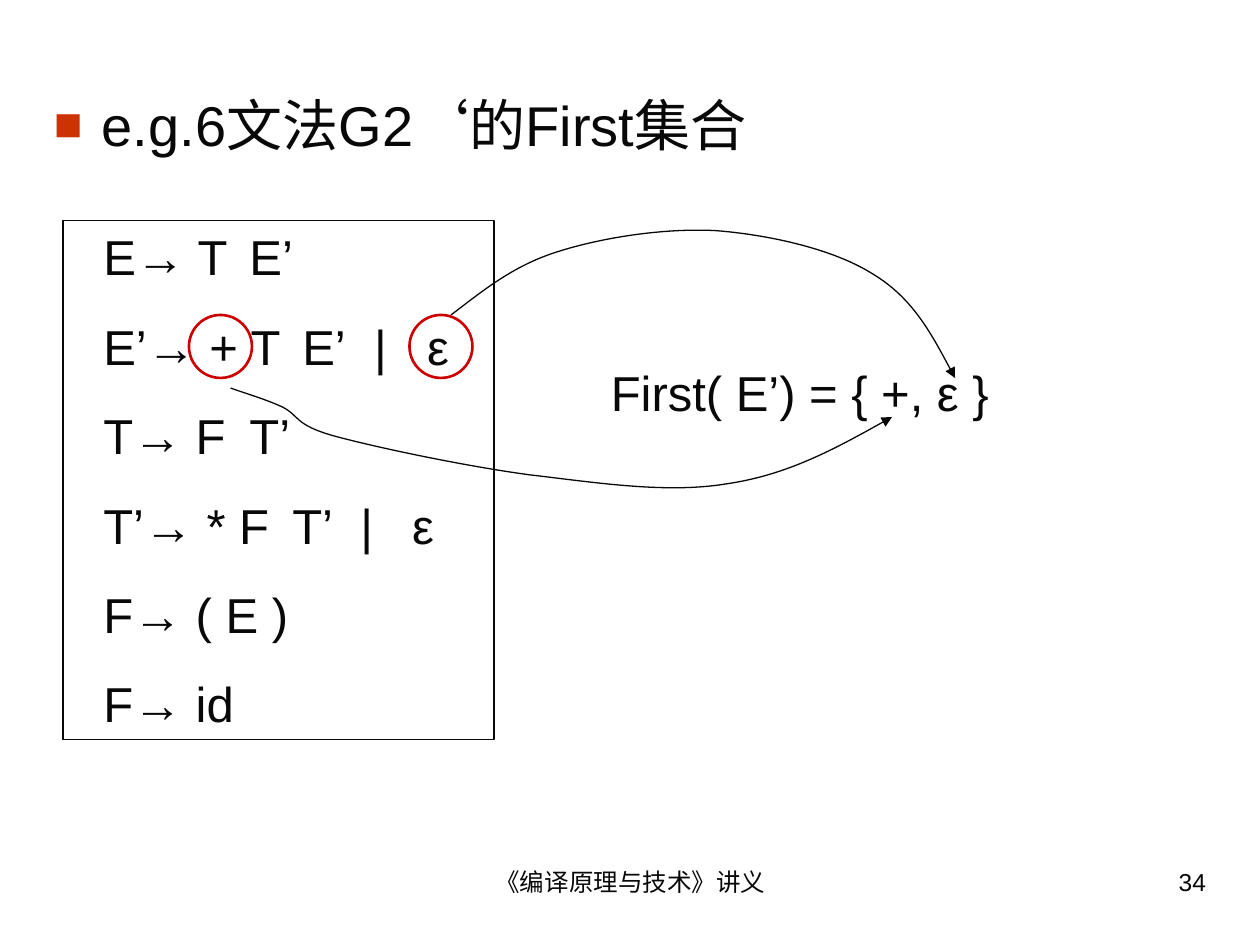
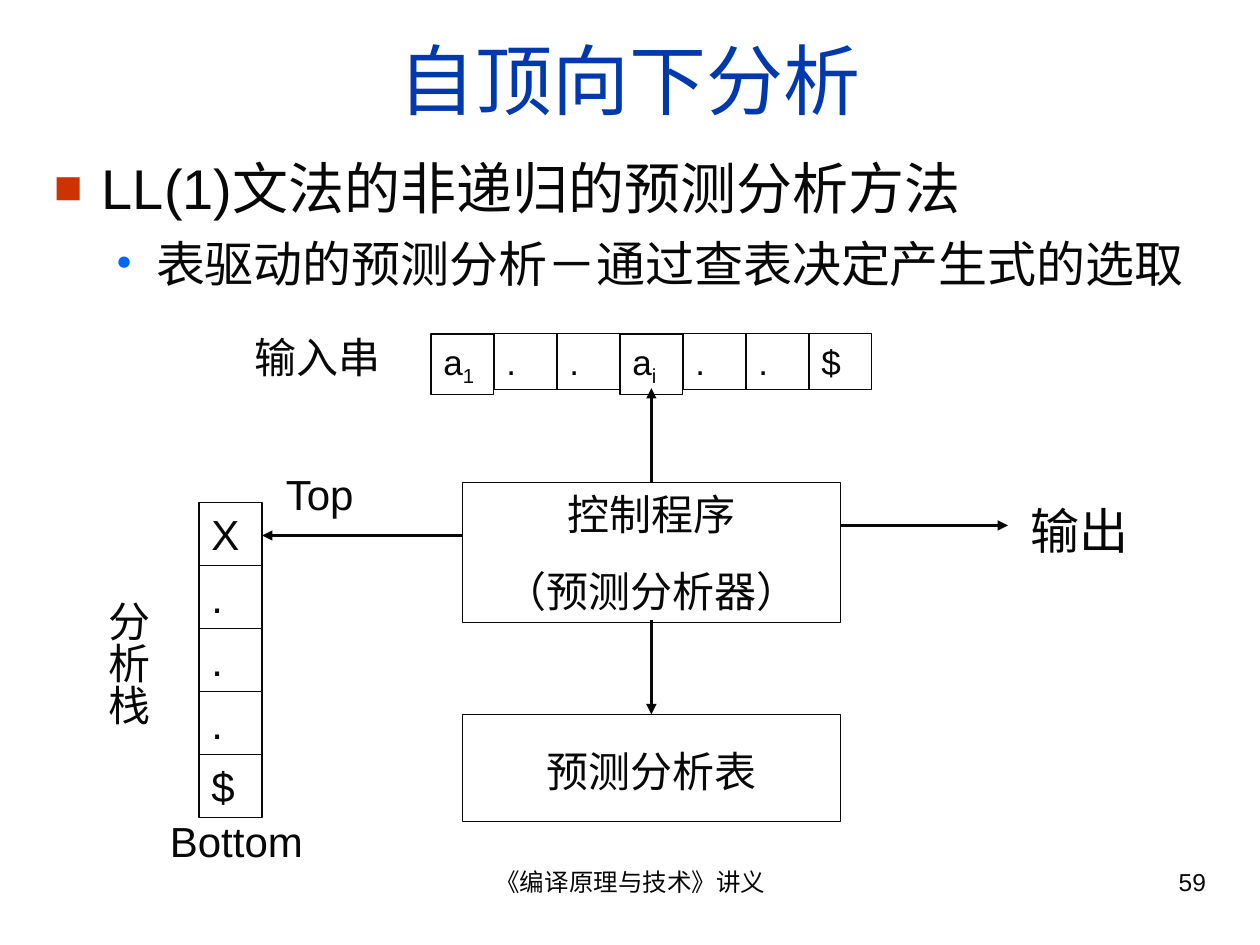
from dataclasses import dataclass

from lxml import etree
from pptx import Presentation
from pptx.dml.color import RGBColor
from pptx.enum.shapes import MSO_CONNECTOR, MSO_SHAPE
from pptx.enum.text import MSO_ANCHOR, PP_ALIGN
from pptx.oxml.ns import qn
from pptx.util import Inches, Pt

LEFT, CENTER, RIGHT = PP_ALIGN.LEFT, PP_ALIGN.CENTER, PP_ALIGN.RIGHT
TOP, MIDDLE = MSO_ANCHOR.TOP, MSO_ANCHOR.MIDDLE
RECTANGLE, OVAL = MSO_SHAPE.RECTANGLE, MSO_SHAPE.OVAL
STRAIGHT = MSO_CONNECTOR.STRAIGHT


@dataclass(frozen=True)
class Theme:
    font: str = "Arial"
    ink: str = "080808"
    title: str = "0039AC"
    square: str = "CC3300"
    dot: str = "0066FF"
    mark: str = "CC0000"
    title_size: int = 44
    heading_size: int = 32
    large_size: int = 28
    label_size: int = 24
    cell_size: int = 20
    footer_size: int = 14
    thin: float = 0.75
    thick: float = 1.5


THEME = Theme()
FOOTER = "《编译原理与技术》讲义"

# Bullet levels: character, colour, text size, left margin, hanging indent
BULLETS = [
    ("■", THEME.square, THEME.heading_size, 0.38, 0.38),
    ("•", THEME.dot, THEME.large_size, 0.81, 0.31),
]

# Each production with the tab stops of its symbols
PRODUCTIONS = [
    ("E→ T\tE’", [1.16]),
    ("E’→ + T\tE’\t|\tε", [1.58, 2.15, 2.57]),
    ("T→ F\tT’", [1.16]),
    ("T’→ * F\tT’\t|\tε", [1.5, 2.04, 2.45]),
    ("F→ ( E )", []),
    ("F→ id", []),
]

# Start point, then two control points and an end point per curve
PLUS_PATH = [
    (1.83, 3.08),
    (1.97, 3.13), (2.11, 3.17), (2.24, 3.23),
    (2.38, 3.3), (2.33, 3.37), (2.65, 3.46),
    (2.98, 3.55), (3.69, 3.7), (4.21, 3.77),
    (4.73, 3.83), (5.29, 3.92), (5.77, 3.84),
    (6.25, 3.77), (6.67, 3.54), (7.08, 3.31),
]
EPSILON_PATH = [
    (3.58, 2.5),
    (3.83, 2.31), (4.07, 2.11), (4.42, 2),
    (4.76, 1.89), (5.25, 1.81), (5.67, 1.83),
    (6.08, 1.86), (6.6, 1.97), (6.92, 2.17),
    (7.24, 2.36), (7.41, 2.68), (7.58, 3),
]


def add_child(parent, tag, **attributes):
    return etree.SubElement(parent, qn(tag), attributes)


def add_bullet(para, character, color, margin, hanging):
    properties = para._p.get_or_add_pPr()
    properties.set("marL", str(Inches(margin)))
    properties.set("indent", str(-Inches(hanging)))
    add_child(add_child(properties, "a:buClr"), "a:srgbClr", val=color)
    add_child(properties, "a:buSzPct", val="85000")
    add_child(properties, "a:buFont", typeface=THEME.font)
    add_child(properties, "a:buChar", char=character)


def add_tabs(para, stops):
    tabs = add_child(para._p.get_or_add_pPr(), "a:tabLst")
    for stop in stops:
        add_child(tabs, "a:tab", pos=str(Inches(stop)), algn="l")


def add_span(para, text, size, color=THEME.ink, baseline=None):
    span = para.add_run()
    span.text = text
    span.font.name = THEME.font
    span.font.size = Pt(size)
    span.font.color.rgb = RGBColor.from_string(color)
    if baseline:
        span.font._element.set("baseline", str(baseline))


def set_frame(frame, anchor=TOP, insets=(0.1, 0.05, 0.1, 0.05)):
    frame.word_wrap = True
    frame.vertical_anchor = anchor
    (frame.margin_left, frame.margin_top,
     frame.margin_right, frame.margin_bottom) = map(Inches, insets)


def write(frame, text, size=THEME.label_size, color=THEME.ink, align=LEFT,
          gap=0, stops=(), subscript=""):
    """Fill the first paragraph, or add one if the frame already has text."""
    is_first = not frame.text
    para = frame.paragraphs[0] if is_first else frame.add_paragraph()
    if stops:
        add_tabs(para, stops)
    para.alignment = align
    if not is_first:
        para.space_before = Pt(gap)
    add_span(para, text, size, color)
    if subscript:
        add_span(para, subscript, size, color, baseline=-25000)


def add_label(page, text, left, top, width, height, anchor=TOP, **style):
    box = page.shapes.add_textbox(*map(Inches, (left, top, width, height)))
    set_frame(box.text_frame, anchor)
    write(box.text_frame, text, **style)
    return box


def style_outline(shape, color, width):
    shape.shadow.inherit = False
    shape.fill.background()
    shape.line.color.rgb = RGBColor.from_string(color)
    shape.line.width = Pt(width)


def add_outline(shapes, left, top, width, height, kind=RECTANGLE,
                color=THEME.ink, weight=THEME.thin, **frame_style):
    shape = shapes.add_shape(kind, *map(Inches, (left, top, width, height)))
    style_outline(shape, color, weight)
    set_frame(shape.text_frame, **frame_style)
    return shape


def add_arrowhead(line):
    add_child(line.line._get_or_add_ln(), "a:tailEnd", type="triangle")


def add_arrow(page, start, end):
    arrow = page.shapes.add_connector(STRAIGHT, *map(Inches, start + end))
    arrow.line.color.rgb = RGBColor.from_string(THEME.ink)
    arrow.line.width = Pt(THEME.thick)
    add_arrowhead(arrow)
    add_child(arrow._element.spPr, "a:effectLst")


def add_curved_arrow(page, points):
    start, *rest = [(Inches(x), Inches(y)) for x, y in points]
    builder = page.shapes.build_freeform(*start)
    builder.add_line_segments(rest, close=False)
    curve = builder.convert_to_shape()
    style_outline(curve, THEME.ink, THEME.thin)
    add_arrowhead(curve)
    # Turn every three straight segments into one Bézier curve
    segments = list(curve._element.iter(qn("a:lnTo")))
    outline = segments[0].getparent()
    for index in range(0, len(segments), 3):
        bezier = add_child(outline, "a:cubicBezTo")
        for segment in segments[index:index + 3]:
            bezier.append(segment[0])
            outline.remove(segment)


def add_bullets(page, texts, left, top, width, height):
    box = page.shapes.add_textbox(*map(Inches, (left, top, width, height)))
    frame = box.text_frame
    set_frame(frame)
    for level, text in enumerate(texts):
        character, color, size, margin, hanging = BULLETS[level]
        para = frame.add_paragraph() if level else frame.paragraphs[0]
        add_bullet(para, character, color, margin, hanging)
        para.level = level
        if level:
            para.space_before = Pt(7)
        add_span(para, text, size)


def add_page(deck, number):
    page = deck.slides.add_slide(deck.slide_layouts[6])
    add_label(page, FOOTER, 3.42, 6.83, 3.17, 0.52,
              size=THEME.footer_size, align=CENTER)
    add_label(page, str(number), 7.17, 6.83, 2.5, 0.52,
              size=THEME.footer_size, align=RIGHT)
    return page


def add_first_set_page(deck):
    page = add_page(deck, 34)
    add_bullets(page, ["e.g.6文法G2‘的First集合"], 0.33, 0.67, 9.34, 0.67)

    # Grammar
    grammar = add_outline(page.shapes, 0.5, 1.75, 3.42, 4.12,
                          insets=(0.32, 0.05, 0.1, 0.05))
    for production, stops in PRODUCTIONS:
        write(grammar.text_frame, production, size=THEME.large_size,
              gap=17.5, stops=stops)

    # First set and the symbols it comes from
    add_label(page, "First( E’) = { +, ε }", 4.75, 2.83, 4.33, 0.57,
              size=THEME.large_size)
    for left in (1.5, 3.25):
        add_outline(page.shapes, left, 2.5, 0.5, 0.5, kind=OVAL,
                    color=THEME.mark, weight=THEME.thick)
    for points in (PLUS_PATH, EPSILON_PATH):
        add_curved_arrow(page, points)


def add_parser_page(deck):
    page = add_page(deck, 59)
    add_label(page, "自顶向下分析", 0.33, 0.25, 9.34, 0.75, anchor=MIDDLE,
              size=THEME.title_size, color=THEME.title, align=CENTER)
    add_bullets(page, ["LL(1)文法的非递归的预测分析方法",
                       "表驱动的预测分析－通过查表决定产生式的选取"],
                0.33, 1.17, 9.25, 1.25)

    # Control program and parsing table
    control = add_outline(page.shapes, 3.67, 3.83, 3, 1.11)
    for text in ("控制程序", "（预测分析器）"):
        write(control.text_frame, text, align=CENTER, gap=15)
    table = add_outline(page.shapes, 3.67, 5.67, 3, 0.85, anchor=MIDDLE,
                        insets=(0.1, 0.1, 0.1, 0.05))
    write(table.text_frame, "预测分析表", align=CENTER)

    # Stack
    cell_width = 0.5
    stack = page.shapes.add_group_shape().shapes
    for row, symbol in enumerate("X...$"):
        cell = add_outline(stack, 1.58, 3.99 + row * cell_width,
                           cell_width, cell_width)
        write(cell.text_frame, symbol)

    # Input string
    tape = page.shapes.add_group_shape().shapes
    for column, symbol in enumerate(["a1", ".", ".", "ai", ".", ".", "$"]):
        subscript = symbol[1:]
        cell = add_outline(tape, 3.42 + column * cell_width, 2.65,
                           cell_width, 0.48 if subscript else 0.44)
        write(cell.text_frame, symbol[0], size=THEME.cell_size,
              subscript=subscript)

    # Arrows
    for start, end in [((5.17, 3.83), (5.17, 3.08)),
                       ((3.67, 4.25), (2.08, 4.25)),
                       ((5.17, 4.92), (5.17, 5.67)),
                       ((6.67, 4.17), (8, 4.17))]:
        add_arrow(page, start, end)

    # Labels
    add_label(page, "输入串", 1.92, 2.58, 1.33, 0.5)
    add_label(page, "输出", 8.08, 3.92, 1.17, 0.57, size=THEME.large_size)
    add_label(page, "Top", 2.17, 3.67, 1, 0.5)
    add_label(page, "Bottom", 1.25, 6.42, 1.33, 0.5)
    stack_label = add_label(page, "分析栈", 0.67, 4.67, 0.6, 1.67)
    set_frame(stack_label.text_frame, insets=(0.05, 0.1, 0.05, 0.1))
    stack_label.text_frame._txBody.bodyPr.set("vert", "eaVert")


def main():
    deck = Presentation()
    deck.slide_width, deck.slide_height = Inches(10), Inches(7.5)
    add_first_set_page(deck)
    add_parser_page(deck)
    deck.save("out.pptx")


if __name__ == "__main__":
    main()
